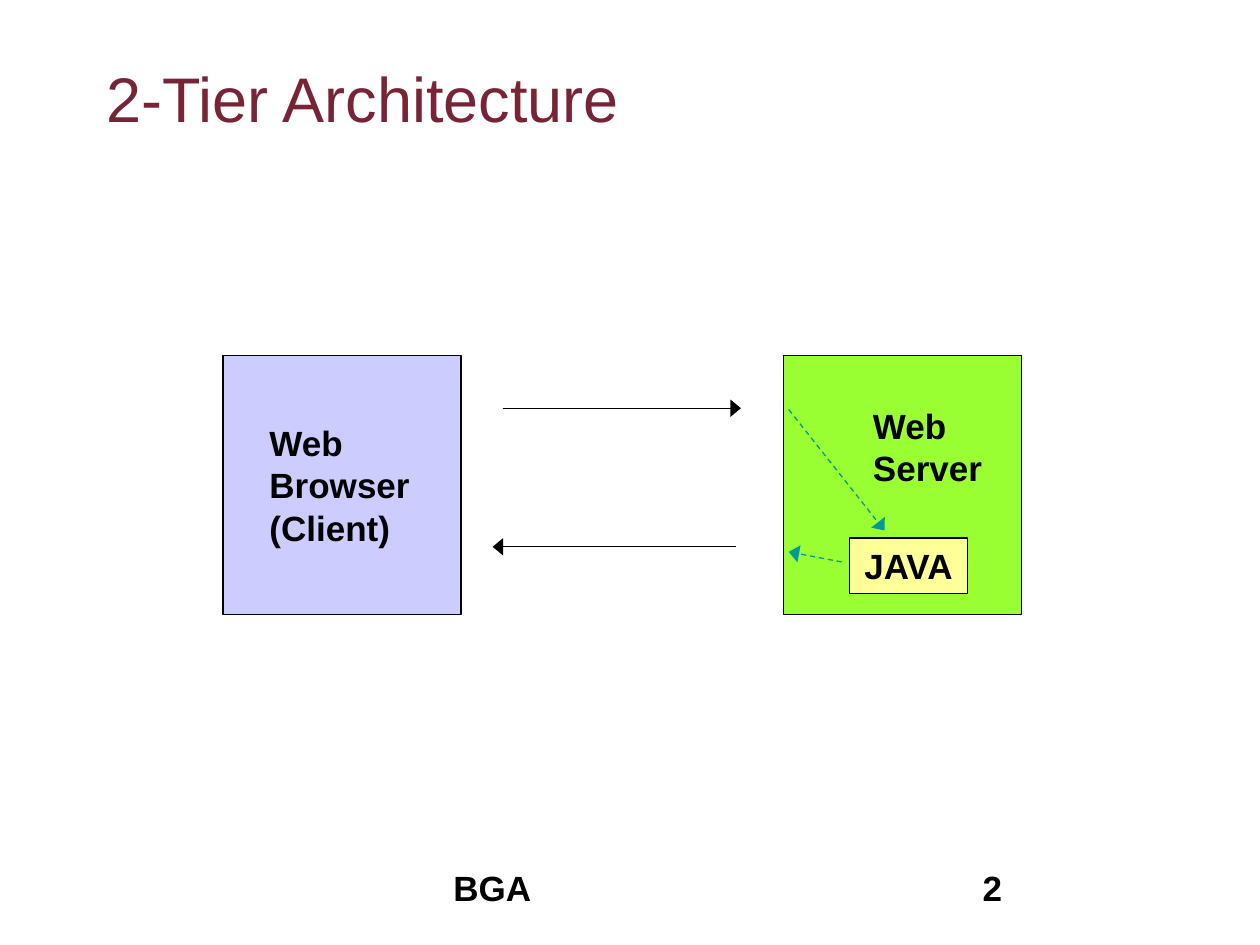
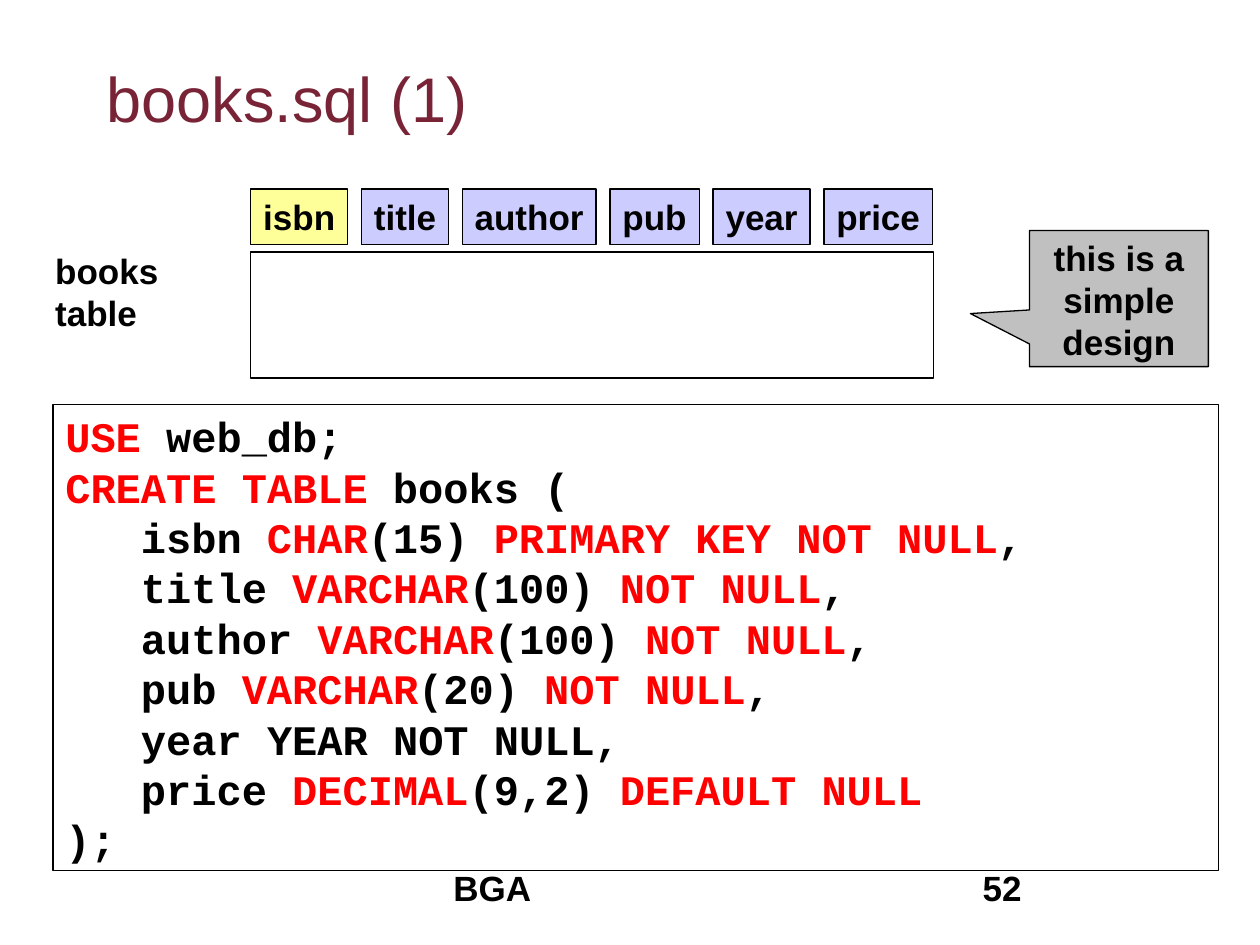
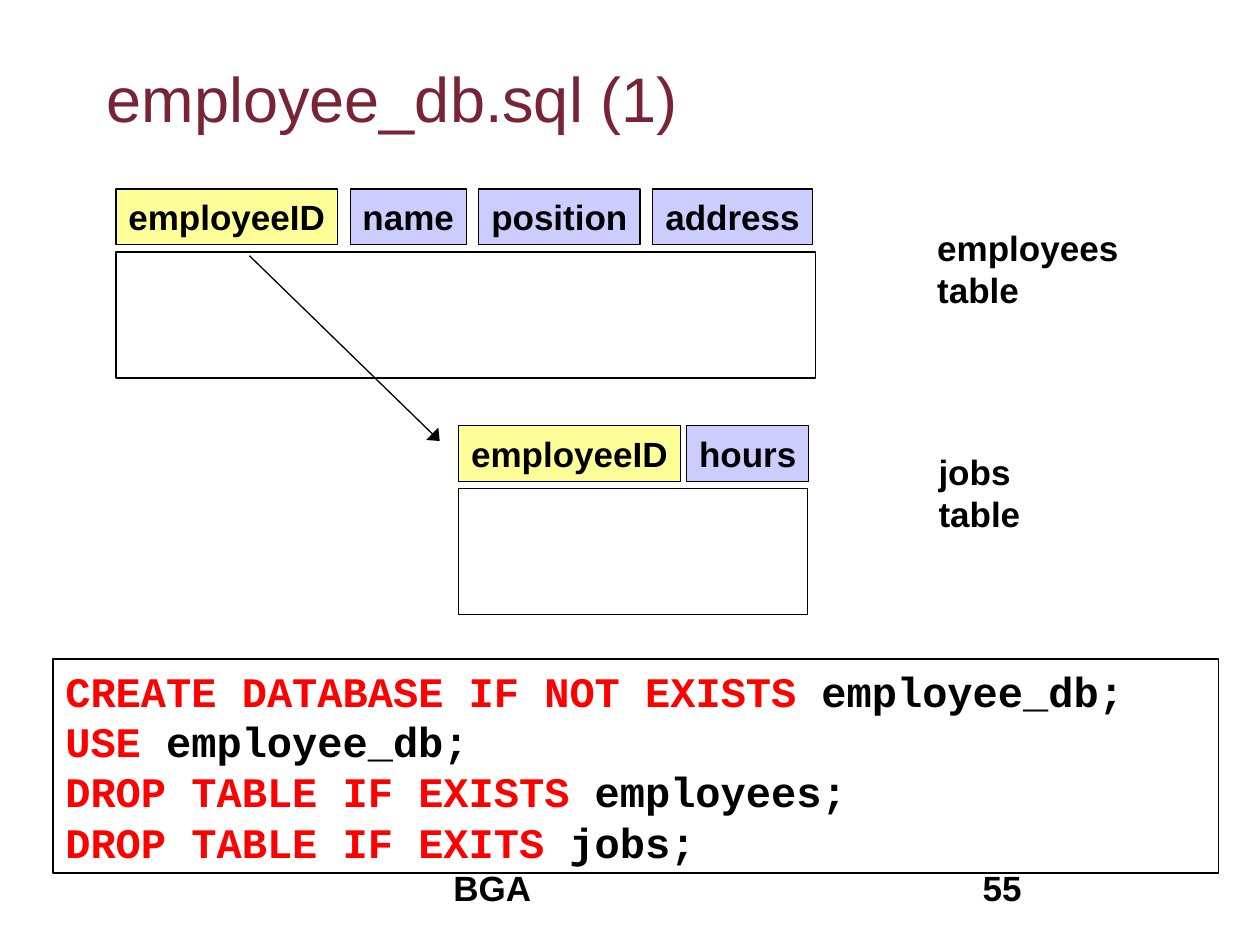
from dataclasses import dataclass
from typing import Any, Optional

from lxml import etree
from pptx import Presentation
from pptx import util as u
from pptx.dml import color
from pptx.enum import dml, shapes, text
from pptx.oxml import ns

COLUMNS, ROWS = 100, 75
WIDTH, HEIGHT = u.Inches(10), u.Inches(7.5)

BLACK, MAROON, RED, TEAL = "000000", "782336", "FF0000", "009999"
LAVENDER, LIME, YELLOW, GRAY = "CCCCFF", "99FF33", "FFFF99", "C0C0C0"
LINE_WIDTH = u.Pt(0.75)
LINE_PITCH = 1.2

TITLE = {"name": "Arial", "size": u.Pt(36), "bold": False}
LABEL = {"name": "Arial", "size": u.Pt(20), "bold": True}
CODE = {"name": "Courier New", "size": u.Pt(24), "bold": True}
MARGINS = {
    "margin_left": u.Inches(0.1),
    "margin_right": u.Inches(0.1),
    "margin_top": u.Inches(0.05),
    "margin_bottom": u.Inches(0.05),
}
TOP, MIDDLE = text.MSO_ANCHOR.TOP, text.MSO_ANCHOR.MIDDLE
LEFT, CENTER = text.PP_ALIGN.LEFT, text.PP_ALIGN.CENTER
RECTANGLE = shapes.MSO_SHAPE.RECTANGLE
CALLOUT = shapes.MSO_SHAPE.RECTANGULAR_CALLOUT


@dataclass
class Area:
    column: float
    row: float
    columns: float
    rows: float

    def lengths(self) -> tuple[int, int, int, int]:
        return x(self.column), y(self.row), x(self.columns), y(self.rows)


@dataclass
class Words:
    content: str
    font: dict[str, Any]
    color: str = BLACK
    align: Any = LEFT
    anchor: Any = TOP
    wrap: bool = True


@dataclass
class Arrow:
    start: tuple[float, float]
    end: tuple[float, float]
    color: str = BLACK
    dashed: bool = False


@dataclass
class Schema:
    body: Area
    fields: list[tuple[str, float]]
    gap: float


def x(columns: float) -> int:
    return round(WIDTH * columns / COLUMNS)


def y(rows: float) -> int:
    return round(HEIGHT * rows / ROWS)


def rgb(value: str) -> color.RGBColor:
    return color.RGBColor.from_string(value)


def apply(target: Any, formats: dict[str, Any]) -> None:
    for name, value in formats.items():
        setattr(target, name, value)


def write(shape: Any, words: Words) -> None:
    frame = shape.text_frame
    apply(frame, {**MARGINS, "word_wrap": words.wrap, "vertical_anchor": words.anchor})
    paragraph = frame.paragraphs[0]
    pitch = u.Pt(words.font["size"].pt * LINE_PITCH)
    apply(paragraph, {"alignment": words.align, "line_spacing": pitch})
    for index, line in enumerate(words.content.split("\n")):
        if index:
            paragraph.add_line_break()
        for part, content in enumerate(line.split("*")):
            if content:
                run = paragraph.add_run()
                run.text = content
                apply(run.font, words.font)
                run.font.color.rgb = rgb(RED if part % 2 else words.color)


def add_text(slide: Any, area: Area, words: Words) -> None:
    write(slide.shapes.add_textbox(*area.lengths()), words)


def add_label(slide: Any, area: Area, content: str) -> None:
    add_text(slide, area, Words(content, LABEL))


def add_box(slide: Any, area: Area, fill: Optional[str] = None,
            words: Optional[Words] = None, preset: Any = RECTANGLE) -> Any:
    shape = slide.shapes.add_shape(preset, *area.lengths())
    shape.shadow.inherit = False
    if fill:
        shape.fill.solid()
        shape.fill.fore_color.rgb = rgb(fill)
    else:
        shape.fill.background()
    shape.line.color.rgb = rgb(BLACK)
    shape.line.width = LINE_WIDTH
    if words:
        write(shape, words)
    return shape


def add_field(slide: Any, area: Area, fill: str, name: str) -> None:
    add_box(slide, area, fill, Words(name, LABEL, align=CENTER, anchor=MIDDLE, wrap=False))


def add_arrow(slide: Any, arrow: Arrow) -> None:
    (x1, y1), (x2, y2) = arrow.start, arrow.end
    connector = slide.shapes.add_connector(
        shapes.MSO_CONNECTOR.STRAIGHT, x(x1), y(y1), x(x2), y(y2))
    connector.line.color.rgb = rgb(arrow.color)
    connector.line.width = LINE_WIDTH
    if arrow.dashed:
        connector.line.dash_style = dml.MSO_LINE.DASH
    outline = connector.line._get_or_add_ln()
    etree.SubElement(outline, ns.qn("a:tailEnd"), type="triangle", w="lg")
    etree.SubElement(connector._element.spPr, ns.qn("a:effectLst"))


def add_schema(slide: Any, schema: Schema) -> None:
    body = schema.body
    add_box(slide, body)
    column = body.column
    for index, (name, columns) in enumerate(schema.fields):
        area = Area(column, body.row - 5, columns, 4.4)
        add_field(slide, area, LAVENDER if index else YELLOW, name)
        column += columns + schema.gap


def add_code(slide: Any, row: float, rows: float, content: str) -> None:
    add_box(slide, Area(4.2, row, 92.5, rows), words=Words(content, CODE))


def add_slide(presentation: Any, title: str, number: int) -> Any:
    slide = presentation.slides.add_slide(presentation.slide_layouts[6])
    add_text(slide, Area(7.5, 4.2, 85, 12.5), Words(title, TITLE, MAROON))
    add_text(slide, Area(35, 68.3, 31.7, 5), Words("BGA", LABEL))
    add_text(slide, Area(77, 68.3, 20.8, 5), Words(str(number), LABEL))
    return slide


BOOKS = Schema(
    Area(19.9, 20, 54.2, 10),
    [("isbn", 7.7), ("title", 6.9), ("author", 10.6),
     ("pub", 7.1), ("year", 7.7), ("price", 8.6)],
    1.1,
)
EMPLOYEES = Schema(
    Area(9.2, 20, 55.5, 10),
    [("employeeID", 17.6), ("name", 9.2), ("position", 12.8), ("address", 12.7)],
    1,
)
JOBS = Schema(Area(36.4, 38.8, 27.7, 10), [("employeeID", 17.6), ("hours", 9.7)], 0.5)

BOOKS_SQL = """*USE* web_db;
*CREATE TABLE* books (
   isbn *CHAR*(15) *PRIMARY KEY NOT NULL*,
   title *VARCHAR*(100) *NOT NULL*,
   author *VARCHAR*(100) *NOT NULL*,
   pub *VARCHAR*(20) *NOT NULL*,
   year YEAR NOT NULL,
   price *DECIMAL*(9,2) *DEFAULT NULL*
);"""
EMPLOYEES_SQL = """*CREATE DATABASE IF NOT EXISTS* employee_db;
*USE* employee_db;
*DROP TABLE IF EXISTS* employees;
*DROP TABLE IF EXITS* jobs;"""

TIER_ARROWS = [
    Arrow((39.9, 32.4), (58.8, 32.4)),
    Arrow((58.4, 43.4), (39.1, 43.4)),
    Arrow((62.6, 32.5), (70.2, 42.1), TEAL, dashed=True),
    Arrow((66.8, 44.6), (62.6, 43.8), TEAL, dashed=True),
]


def build_architecture(presentation: Any) -> None:
    slide = add_slide(presentation, "2-Tier Architecture", 2)
    for column, fill in ((17.7, LAVENDER), (62.2, LIME)):
        add_box(slide, Area(column, 28.2, 18.9, 20.6), fill)
    add_label(slide, Area(20.4, 33, 14, 11), "Web\nBrowser\n(Client)")
    add_label(slide, Area(68.3, 31.6, 11.5, 11), "Web\nServer")
    add_field(slide, Area(67.4, 42.7, 9.4, 4.4), YELLOW, "JAVA")
    for arrow in TIER_ARROWS:
        add_arrow(slide, arrow)


def build_books(presentation: Any) -> None:
    slide = add_slide(presentation, "books.sql (1)", 52)
    add_schema(slide, BOOKS)
    add_code(slide, 32.1, 37, BOOKS_SQL)
    add_label(slide, Area(3.4, 19.3, 11, 7.7), "books\ntable")
    remark = Words("this is a\nsimple\ndesign", LABEL, align=CENTER)
    callout = add_box(slide, Area(81.7, 18.3, 14.2, 10.8), GRAY, remark, CALLOUT)
    for index, value in enumerate((-0.83, 0.11)):
        callout.adjustments[index] = value


def build_employees(presentation: Any) -> None:
    slide = add_slide(presentation, "employee_db.sql (1)", 55)
    add_schema(slide, EMPLOYEES)
    add_code(slide, 52.3, 17, EMPLOYEES_SQL)
    add_schema(slide, JOBS)
    add_label(slide, Area(73.4, 17.5, 17, 7.7), "employees\ntable")
    add_label(slide, Area(73.5, 35.3, 9.5, 7.7), "jobs\ntable")
    add_arrow(slide, Arrow((19.8, 20.3), (34.9, 35)))


def main() -> None:
    presentation = Presentation()
    apply(presentation, {"slide_width": WIDTH, "slide_height": HEIGHT})
    for build in (build_architecture, build_books, build_employees):
        build(presentation)
    presentation.save("out.pptx")


if __name__ == "__main__":
    main()
